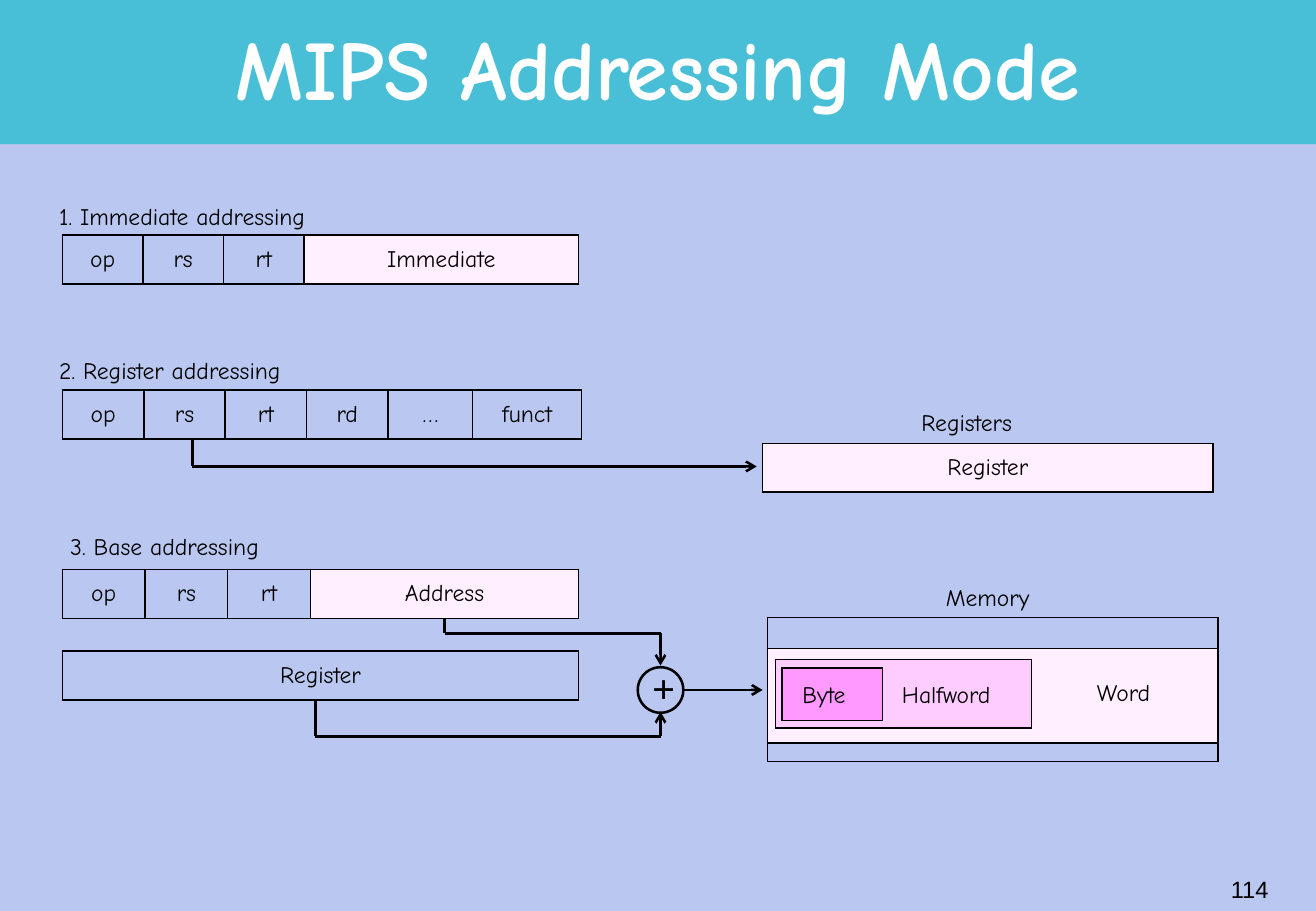
from itertools import pairwise

from lxml.etree import SubElement
from pptx import Presentation
from pptx.dml.color import RGBColor
from pptx.enum.shapes import MSO_CONNECTOR, MSO_SHAPE
from pptx.enum.text import MSO_ANCHOR, MSO_AUTO_SIZE, PP_ALIGN
from pptx.oxml.ns import qn
from pptx.util import Pt

SLIDE_W, SLIDE_H, HEADER_H = 780, 540, 85.5
BLACK, WHITE, BACKGROUND, HEADER = "000000", "FFFFFF", "BAC8F1", "49BFD7"
PALE, PINK, MAGENTA = "FFEFFF", "FFCCFF", "FF99FF"
HAND = "Comic Neue"
LABEL = {"name": HAND, "size": Pt(14), "bold": False}
TITLE = {"name": HAND, "size": Pt(50), "bold": True}
PLUS = {"name": "Times New Roman", "size": Pt(24), "bold": True}
PAGE = {"name": "Arial", "size": Pt(14), "bold": False}

FIELD_X, ROW_H = 37, 29
MEMORY_X, MEMORY_W = 455, 267

# left, top, height, cells as (text, width, fill)
TABLES = [
    (FIELD_X, 139.25, ROW_H,
     [("op", 47.75, None), ("rs", 47.75, None), ("rt", 47.75, None), ("Immediate", 162.75, PALE)]),
    (FIELD_X, 231.25, ROW_H,
     [("op", 48.25, None), ("rs", 48.25, None), ("rt", 48.25, None), ("rd", 48.25, None),
      ("…", 50.25, None), ("funct", 64.5, None)]),
    (FIELD_X, 337.5, ROW_H,
     [("op", 49, None), ("rs", 49, None), ("rt", 49, None), ("Address", 159, PALE)]),
    (FIELD_X, 386, ROW_H, [("Register", 306, None)]),
    (452, 262.75, ROW_H, [("Register", MEMORY_W, PALE)]),
    (MEMORY_X, 366, 85.5, [("", MEMORY_W, None)]),
    (MEMORY_X, 384.25, 56.25, [("", MEMORY_W, PALE)]),
    (459.5, 391, 40.5, [("", 152, PINK)]),
    (463.5, 396, 31, [("", 59.5, MAGENTA)]),
]

# text, left, top, width
LABELS = [
    ("1. Immediate addressing", 28, 116, 223),
    ("2. Register addressing", 28, 207.5, 223),
    ("3. Base addressing", 34.5, 312, 223),
    ("Registers", 539, 238.5, 112),
    ("Memory", 553.5, 342, 84),
    ("Byte", 468.5, 399.5, 62),
    ("Halfword", 527.5, 399.5, 79),
    ("Word", 643, 398, 86),
]

PLUS_X, PLUS_Y, PLUS_R = 391.5, 409, 13.5
ARROWS = [
    [(114, 260.5), (114, 276.5), (448.5, 276.5)],
    [(263.5, 366.5), (263.5, 375.5), (PLUS_X, 375.5), (PLUS_X, 394.5)],
    [(187, 415.5), (187, 436.5), (PLUS_X, 436.5), (PLUS_X, 422)],
    [(PLUS_X + PLUS_R, PLUS_Y), (452, PLUS_Y)],
]


def rgb(hex_color):
    return RGBColor.from_string(hex_color)


def paint(fill, color):
    if color:
        fill.solid()
        fill.fore_color.rgb = rgb(color)
    else:
        fill.background()


def write(frame, text, style, color=BLACK, align=PP_ALIGN.LEFT):
    paragraph = frame.paragraphs[0]
    paragraph.alignment = align
    run = paragraph.add_run()
    run.text = text
    for attribute, value in style.items():
        setattr(run.font, attribute, value)
    run.font.color.rgb = rgb(color)
    return paragraph


def add_text(slide, text, box, style, color=BLACK, align=PP_ALIGN.LEFT, anchor=MSO_ANCHOR.TOP):
    frame = slide.shapes.add_textbox(*map(Pt, box)).text_frame
    frame.word_wrap = True
    frame.auto_size = MSO_AUTO_SIZE.NONE
    frame.vertical_anchor = anchor
    return write(frame, text, style, color, align)


def add_border(cell):
    properties = cell._tc.get_or_add_tcPr()
    for side in ("a:lnL", "a:lnR", "a:lnT", "a:lnB"):
        border = SubElement(properties, qn(side), w=str(Pt(1)))
        solid = SubElement(border, qn("a:solidFill"))
        SubElement(solid, qn("a:srgbClr"), val=BLACK)


def add_fields(slide, left, top, height, fields):
    """Draw one row of bordered fields as a table."""
    width = sum(field[1] for field in fields)
    table = slide.shapes.add_table(1, len(fields), *map(Pt, (left, top, width, height))).table
    table.first_row = table.horz_banding = False
    table.rows[0].height = Pt(height)
    for column, cell, (text, cell_width, fill) in zip(table.columns, table.rows[0].cells, fields):
        column.width = Pt(cell_width)
        add_border(cell)
        paint(cell.fill, fill)
        cell.vertical_anchor = MSO_ANCHOR.MIDDLE
        if text:
            write(cell.text_frame, text, LABEL, align=PP_ALIGN.CENTER)


def add_arrow(slide, points):
    """Join the points with straight lines; the last one has an arrowhead."""
    for start, end in pairwise(points):
        line = slide.shapes.add_connector(MSO_CONNECTOR.STRAIGHT, *map(Pt, start + end))
        line.line.width = Pt(1.5)
        line.line.color.rgb = rgb(BLACK)
        if end == points[-1]:
            SubElement(line.line._get_or_add_ln(), qn("a:tailEnd"), type="arrow")
        SubElement(line._element.spPr, qn("a:effectLst"))


def main():
    deck = Presentation()
    deck.slide_width, deck.slide_height = Pt(SLIDE_W), Pt(SLIDE_H)
    slide = deck.slides.add_slide(deck.slide_layouts[6])
    paint(slide.background.fill, BACKGROUND)

    header = slide.shapes.add_shape(MSO_SHAPE.RECTANGLE, 0, 0, Pt(SLIDE_W), Pt(HEADER_H))
    header.shadow.inherit = False
    paint(header.fill, HEADER)
    header.line.fill.background()
    title = add_text(slide, "MIPS Addressing Mode", (58.5, 8.5, 663, 71.5), TITLE, WHITE,
                     PP_ALIGN.CENTER, MSO_ANCHOR.MIDDLE)
    title.line_spacing = 0.85

    for table in TABLES:
        add_fields(slide, *table)
    for text, left, top, width in LABELS:
        add_text(slide, text, (left, top, width, 24.5), LABEL)

    circle = slide.shapes.add_shape(MSO_SHAPE.OVAL, Pt(PLUS_X - PLUS_R), Pt(PLUS_Y - PLUS_R),
                                    Pt(2 * PLUS_R), Pt(2 * PLUS_R))
    circle.shadow.inherit = False
    circle.fill.background()
    circle.line.width = Pt(1.5)
    circle.line.color.rgb = rgb(BLACK)
    add_text(slide, "+", (379.5, 389.5, 32.5, 31), PLUS)

    for points in ARROWS:
        add_arrow(slide, points)

    add_text(slide, "114", (596, 509, 163, 36), PAGE, align=PP_ALIGN.RIGHT, anchor=MSO_ANCHOR.MIDDLE)
    deck.save("out.pptx")


if __name__ == "__main__":
    main()
